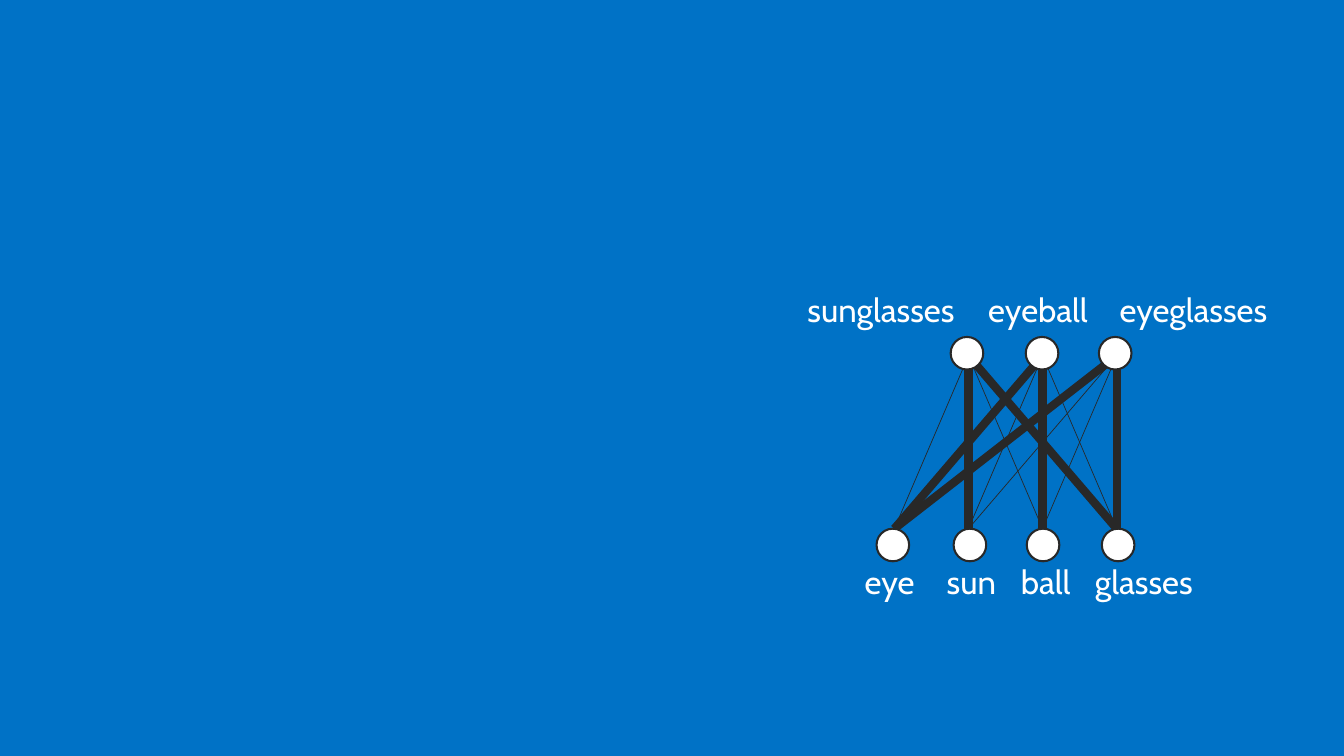
from lxml.etree import SubElement
from pptx import Presentation
from pptx.dml.color import RGBColor
from pptx.enum.shapes import MSO_CONNECTOR as Connector, MSO_SHAPE as Shape
from pptx.enum.text import MSO_AUTO_SIZE as AutoSize
from pptx.oxml.ns import qn
from pptx.util import Inches, Pt

COLORS = {"background": "0072C6", "ink": "282828", "node": "FFFFFF", "label": "FFFFFF"}

# word: (node left, label left, label width)
COMPOUNDS = {
    "sunglasses": (9.62, 7.97, 1.98),
    "eyeball": (10.38, 9.8, 1.45),
    "eyeglasses": (11.12, 11.13, 1.97),
}
PARTS = {
    "eye": (8.87, 8.55, 0.92),
    "sun": (9.65, 9.38, 0.93),
    "ball": (10.39, 10.13, 0.93),
    "glasses": (11.15, 10.88, 1.46),
}
LAYERS = [(COMPOUNDS, 3.41, 2.82), (PARTS, 5.35, 5.57)]

NODE_SIZE = 0.33
LABEL_HEIGHT = 0.69
FIRST_COLUMN, COLUMN_STEP = 9.05, 0.75
LINK_TOP, LINK_BOTTOM = 3.6, 5.35
STRONG, WEAK = 6, 0.5

FRAME_FORMAT = {
    "margin_left": Inches(0.2), "margin_right": Inches(0.2),
    "margin_top": Inches(0.16), "margin_bottom": Inches(0.16),
    "word_wrap": False, "auto_size": AutoSize.SHAPE_TO_FIT_TEXT,
}
PARAGRAPH_FORMAT = {"line_spacing": 0.9, "space_after": Pt(6)}
FONT_FORMAT = {"name": "Cabin", "size": Pt(24)}


def color(name):
    return RGBColor.from_string(COLORS[name])


def apply(target, values):
    for key, value in values.items():
        setattr(target, key, value)


def column(index):
    return FIRST_COLUMN + COLUMN_STEP * index


def add_link(slide, part_x, compound_x, weight):
    ends = map(Inches, (part_x, LINK_BOTTOM, compound_x, LINK_TOP))
    link = slide.shapes.add_connector(Connector.STRAIGHT, *ends)
    link.line.color.rgb = color("ink")
    link.line.width = Pt(weight)
    SubElement(link.element.spPr, qn("a:effectLst"))


def add_node(slide, left, top):
    box = map(Inches, (left, top, NODE_SIZE, NODE_SIZE))
    node = slide.shapes.add_shape(Shape.OVAL, *box)
    node.shadow.inherit = False
    node.fill.solid()
    node.fill.fore_color.rgb = color("node")
    node.line.color.rgb = color("ink")
    node.line.width = Pt(1.5)


def add_label(slide, word, left, top, width):
    box = map(Inches, (left, top, width, LABEL_HEIGHT))
    frame = slide.shapes.add_textbox(*box).text_frame
    apply(frame, FRAME_FORMAT)
    paragraph = frame.paragraphs[0]
    apply(paragraph, PARAGRAPH_FORMAT)
    run = paragraph.add_run()
    run.text = word
    apply(run.font, FONT_FORMAT)
    run.font.color.rgb = color("label")


def main():
    deck = Presentation()
    deck.slide_width, deck.slide_height = Inches(13.6), Inches(7.65)
    slide = deck.slides.add_slide(deck.slide_layouts[6])
    slide.background.fill.solid()
    slide.background.fill.fore_color.rgb = color("background")

    for part_index, part in enumerate(PARTS):
        for compound_index, compound in enumerate(COMPOUNDS, start=1):
            weight = STRONG if part in compound else WEAK
            add_link(slide, column(part_index), column(compound_index), weight)

    for words, node_top, label_top in LAYERS:
        for word, (node_left, label_left, label_width) in words.items():
            add_node(slide, node_left, node_top)
            add_label(slide, word, label_left, label_top, label_width)

    deck.save("out.pptx")


if __name__ == "__main__":
    main()
